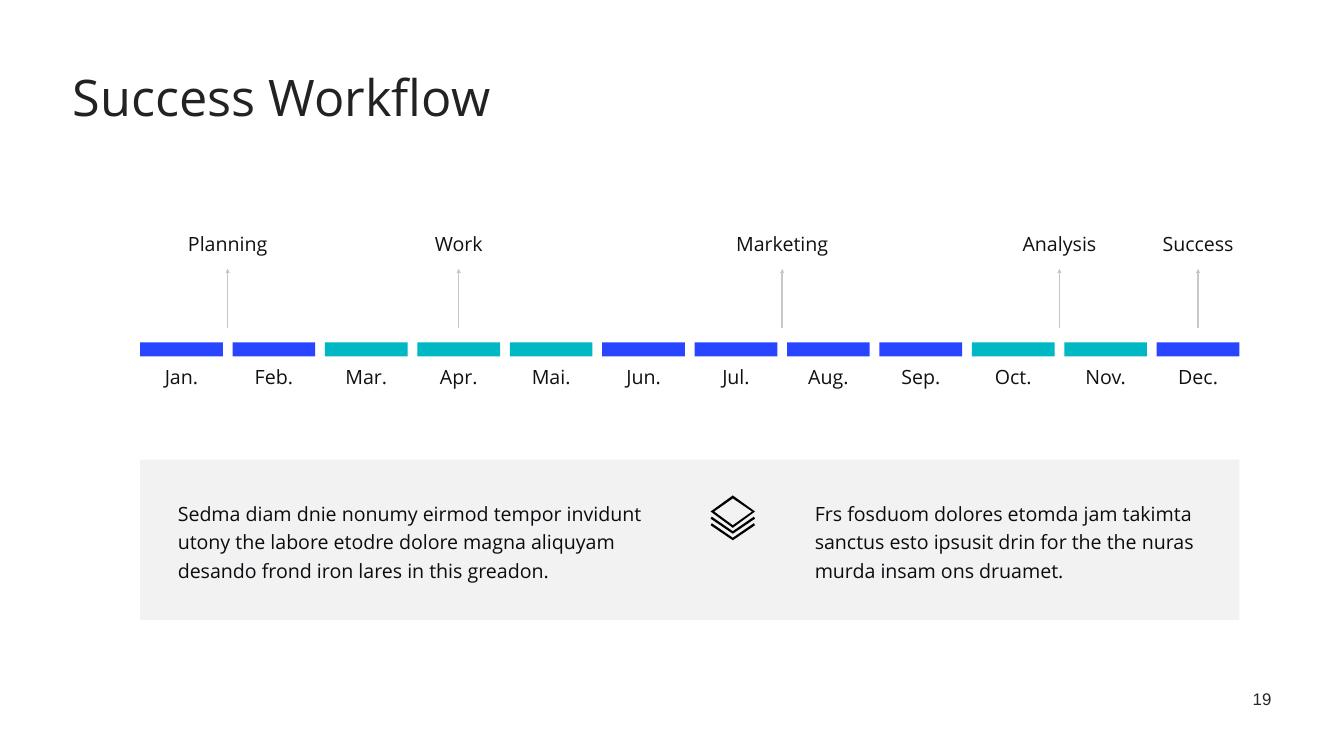
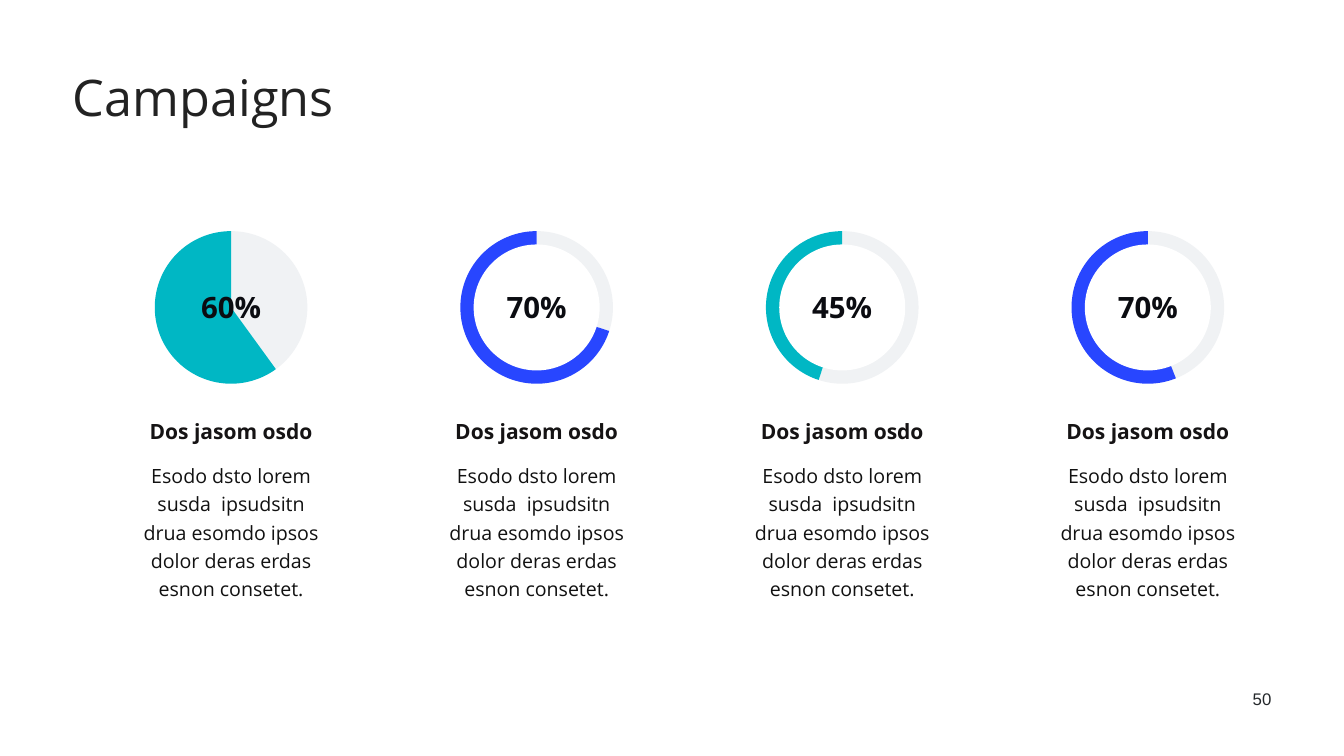
from pptx import Presentation, util as u
from pptx.chart.data import CategoryChartData
from pptx.dml.color import RGBColor
from pptx.enum import chart as ch, shapes, text
from pptx.oxml import parse_xml
from pptx.oxml.ns import nsdecls, qn
from lxml import etree

# Content
BLUE, TEAL = "2846FF", "00B7C4"
INK, DARK = "111111", "0B0C11"
MONTHS = ["Jan.", "Feb.", "Mar.", "Apr.", "Mai.", "Jun.",
          "Jul.", "Aug.", "Sep.", "Oct.", "Nov.", "Dec."]
PHASES = [("Planning", 2, BLUE), ("Work", 3, TEAL), ("Marketing", 4, BLUE),
          ("Analysis", 2, TEAL), ("Success", 1, BLUE)]  # name, months, colour
NOTES = [
    ("Sedma diam dnie nonumy eirmod tempor invidunt utony the labore etodre dolore "
     "magna aliquyam desando frond iron lares in this greadon.", 8.82, 26.39),
    ("Frs fosduom dolores etomda jam takimta sanctus esto ipsusit drin for the the "
     "nuras murda insam ons druamet.", 40.92, 19.58),
]  # text, left, width
CAMPAIGNS = [("60%", (40, 60), TEAL, False), ("70%", (30, 70), BLUE, True),
             ("45%", (55, 45), TEAL, True), ("70%", (44, 56), BLUE, True)]
CAMPAIGN_HEAD = "Dos jasom osdo"
CAMPAIGN_BODY = ("Esodo dsto lorem susda  ipsudsitn drua esomdo ipsos "
                 "dolor deras erdas esnon consetet.")

# Grid, in centimetres
LEFT, WIDTH = 7.06, 55.4
MONTH_GAP = 0.49
MONTH_W = (WIDTH - MONTH_GAP * (len(MONTHS) - 1)) / len(MONTHS)
COLUMN_W, COLUMN_STEP = 9.17, 15.4
PIE, HOLE = 7.77, 6.35

# Layers icon outlines, in hundredths of a centimetre
CHEVRON = [(6, 107), (112, 180), (218, 107), (224, 117), (112, 193), (0, 117)]
LAYERS = [
    [(112, 0), (0, 81), (112, 163), (224, 81)],
    [(112, 15), (209, 81), (112, 150), (18, 81)],
    CHEVRON,
    [(x, y + 33) for x, y in CHEVRON],
]


def rgb(value):
    return RGBColor.from_string(value)


def box(x, y, w, h):
    return [u.Cm(v) for v in (x, y, w, h)]


def add_text(s, words, place, size, color, align="LEFT", spacing=1.0, bold=False,
             font="Open Sans", middle=False, grow=True, inset=0.14):
    tf = s.shapes.add_textbox(*box(*place)).text_frame
    tf.word_wrap = True
    tf.margin_left = tf.margin_right = tf.margin_top = tf.margin_bottom = u.Cm(inset)
    tf.auto_size = (text.MSO_AUTO_SIZE.SHAPE_TO_FIT_TEXT if grow
                    else text.MSO_AUTO_SIZE.NONE)
    tf.vertical_anchor = text.MSO_ANCHOR.MIDDLE if middle else text.MSO_ANCHOR.TOP
    tf.text = words
    p = tf.paragraphs[0]
    p.alignment = text.PP_ALIGN[align]
    p.line_spacing = spacing
    f = p.runs[0].font
    f.name, f.size, f.bold = font, u.Pt(size), bold
    f.color.rgb = rgb(color)


def paint(sp, color):
    sp.shadow.inherit = False
    sp.fill.solid()
    sp.fill.fore_color.rgb = rgb(color)
    sp.line.fill.background()


def add_shape(s, kind, place, color):
    paint(s.shapes.add_shape(shapes.MSO_SHAPE[kind], *box(*place)), color)


def add_pointer(s, x, top, bottom):
    line = s.shapes.add_connector(shapes.MSO_CONNECTOR.STRAIGHT,
                                  u.Cm(x), u.Cm(top), u.Cm(x), u.Cm(bottom))
    line.line.color.rgb = rgb("C7C7C7")
    line.line.width = u.Pt(2)
    etree.SubElement(line.line._get_or_add_ln(), qn("a:headEnd"), type="triangle")
    etree.SubElement(line._element.spPr, qn("a:effectLst"))


def add_layers_icon(s, x, y):
    start, *rest = LAYERS[0]
    fb = s.shapes.build_freeform(*start, scale=u.Cm(0.01))
    fb.add_line_segments(rest, close=True)
    for start, *rest in LAYERS[1:]:
        fb.move_to(*start)
        fb.add_line_segments(rest, close=True)
    paint(fb.convert_to_shape(u.Cm(x), u.Cm(y)), "000000")


def add_pie(s, place, values, color):
    data = CategoryChartData()
    data.categories = ["1", "2"]
    data.add_series("Series 1", values)
    chart = s.shapes.add_chart(ch.XL_CHART_TYPE.PIE, *box(*place), data).chart
    chart.has_title = chart.has_legend = False
    chart.font.name, chart.font.size = "Open Sans", u.Pt(10)
    chart.font.color.rgb = rgb("24282B")
    plot = chart.plots[0]
    plot.vary_by_categories = False
    series = plot.series[0]
    for part, fill in ((series, "F0F2F4"), (series.points[0], "F0F2F4"),
                       (series.points[1], color)):
        part.format.fill.solid()
        part.format.fill.fore_color.rgb = rgb(fill)
        part.format.line.fill.background()
    # Let the pie fill its frame
    area = chart._chartSpace.chart.plotArea
    for old in area.findall(qn("c:layout")):
        area.remove(old)
    area.insert(0, parse_xml(
        f'<c:layout {nsdecls("c")}><c:manualLayout><c:layoutTarget val="inner"/>'
        '<c:xMode val="edge"/><c:yMode val="edge"/><c:x val="0.005"/><c:y val="0.005"/>'
        '<c:w val="0.99"/><c:h val="0.99"/></c:manualLayout></c:layout>'))


def new_slide(prs, title, number):
    s = prs.slides.add_slide(prs.slide_layouts[6])
    add_text(s, title, (3.53, 3.53, 26.11, 3.71), 72, "222222", spacing=0.9)
    add_text(s, number, (60.68, 34.57, 3.53, 1.3), 24, "24282B", "RIGHT", font="Arial")
    return s


def workflow_slide(prs):
    s = new_slide(prs, "Success Workflow", "19")
    label = dict(size=28, color=INK, align="CENTER", spacing=1.2, middle=True, grow=False)
    step = MONTH_W + MONTH_GAP
    month = 0
    for name, count, color in PHASES:
        x = LEFT + month * step
        span = count * step - MONTH_GAP
        center = x + span / 2
        w = max(span, 5.84)
        add_text(s, name, (center - w / 2, 11.4, w, 1.55), **label)
        add_pointer(s, center, 13.54, 16.54)
        for i in range(count):
            left = x + i * step
            add_shape(s, "RECTANGLE", (left, 17.25, MONTH_W, 0.71), color)
            add_text(s, MONTHS[month + i], (left, 18.08, MONTH_W, 1.55), **label)
        month += count

    # Notes panel
    add_shape(s, "RECTANGLE", (LEFT, 23.16, WIDTH, 8.1), "F2F2F2")
    for words, x, w in NOTES:
        add_text(s, words, (x, 24.93, w, 4.83), 28, DARK, spacing=1.2)
    add_layers_icon(s, 35.81, 24.97)


def campaigns_slide(prs):
    s = new_slide(prs, "Campaigns", "50")
    for i, (share, values, color, ring) in enumerate(CAMPAIGNS):
        x = LEFT + i * COLUMN_STEP
        center = x + COLUMN_W / 2
        add_pie(s, (center - PIE / 2, 11.61, PIE, PIE), values, color)
        hole_x = center - HOLE / 2
        if ring:
            add_shape(s, "OVAL", (hole_x, 12.32, HOLE, HOLE), "FFFFFF")
        add_text(s, share, (hole_x, 14.55, HOLE, 1.85), 42, DARK, "CENTER",
                 bold=True, middle=True, grow=False)
        add_text(s, CAMPAIGN_HEAD, (x, 20.83, COLUMN_W, 1.7), 30, "151314", "CENTER",
                 1.1, bold=True)
        add_text(s, CAMPAIGN_BODY, (x, 23.01, COLUMN_W, 8.03), 28, INK, "CENTER", 1.2)


def main():
    prs = Presentation()
    prs.slide_width, prs.slide_height = u.Cm(67.73), u.Cm(38.1)
    workflow_slide(prs)
    campaigns_slide(prs)
    prs.save("out.pptx")


if __name__ == "__main__":
    main()
